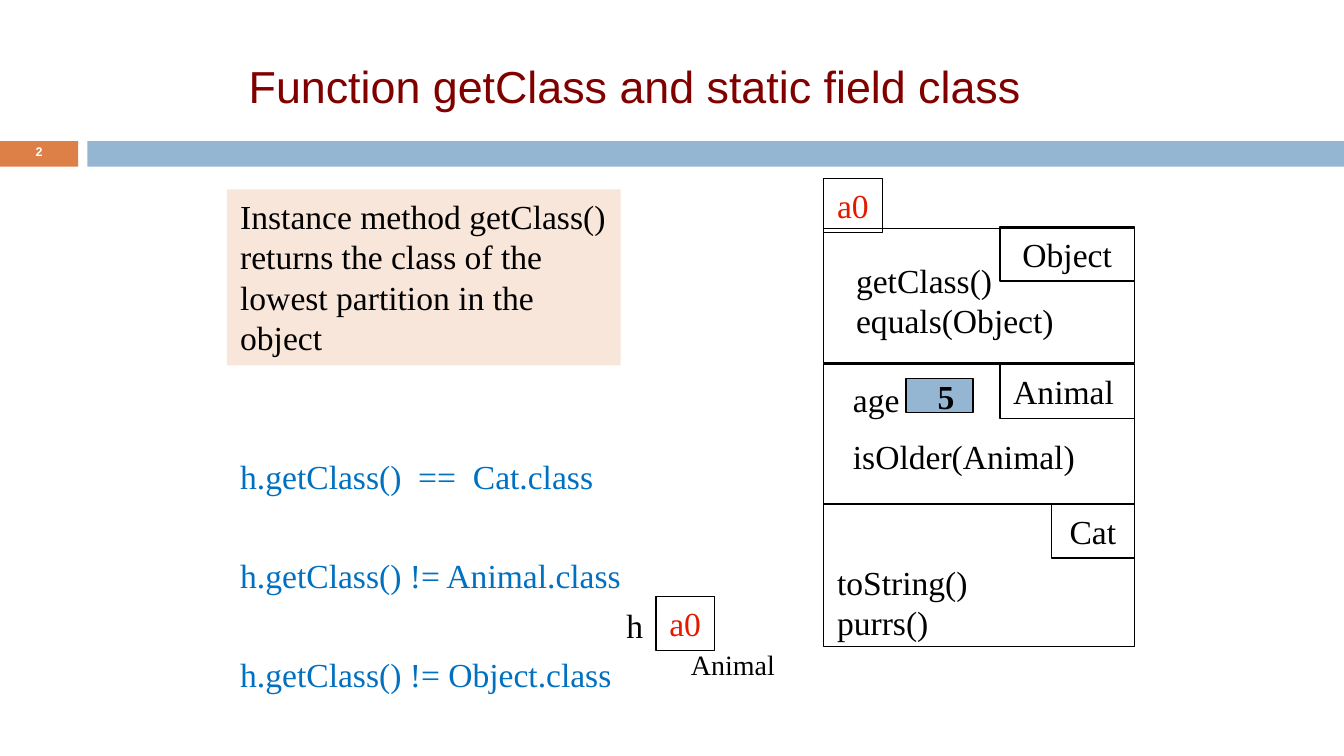
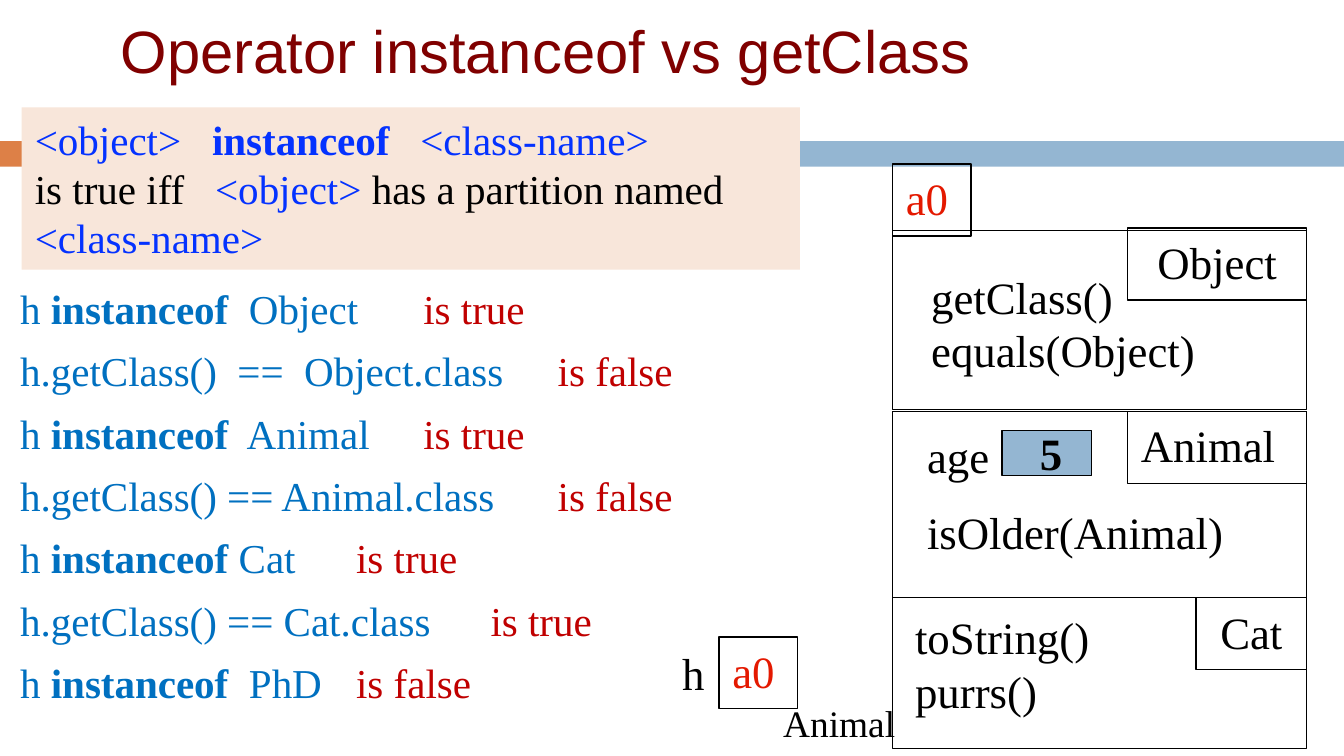
from lxml.etree import SubElement
from pptx import Presentation
from pptx.dml.color import RGBColor
from pptx.enum.shapes import MSO_CONNECTOR, MSO_SHAPE
from pptx.enum.text import MSO_ANCHOR, MSO_AUTO_SIZE, PP_ALIGN
from pptx.oxml.ns import qn
from pptx.util import Cm, Pt

COLORS = {
    "orange": "DD8047", "band": "94B6D2", "peach": "F8E6DA",
    "title": "800000", "code": "0070C0", "answer": "C00000",
    "syntax": "0432FF", "name": "E41900", "black": "000000", "white": "FFFFFF",
}
SERIF, SANS = "Times New Roman", "Arial"


def color(name):
    return RGBColor.from_string(COLORS[name])


def apply(target, values):
    for name, value in values.items():
        setattr(target, name, value)


def place(shape, area):
    apply(shape, dict(zip(("left", "top", "width", "height"), map(Cm, area))))


# Text: a paragraph is a list of (text, colour, bold) spans
def write(frame, paragraphs, size, font=SERIF, **format_values):
    for index, spans in enumerate(paragraphs):
        para = frame.paragraphs[0] if index == 0 else frame.add_paragraph()
        apply(para, {"alignment": PP_ALIGN.LEFT, **format_values})
        for text, shade, bold in spans:
            for number, line in enumerate(text.split("\n")):
                if number:
                    para.add_line_break()
                if not line:
                    continue
                span = para.add_run()
                span.text = line
                apply(span.font, {"name": font, "size": Pt(size), "bold": bold})
                span.font.color.rgb = color(shade)


def plain(*texts, shade="black", bold=False):
    return [[(text, shade, bold)] for text in texts]


def set_frame(frame, margin, **values):
    sides = ("margin_left", "margin_right", "margin_top", "margin_bottom")
    apply(frame, {side: Cm(margin) for side in sides})
    apply(frame, {"word_wrap": True, "auto_size": MSO_AUTO_SIZE.NONE, **values})


def add_text(page, area, paragraphs, size, **format_values):
    box = page.shapes.add_textbox(*map(Cm, area))
    apply(box.text_frame, {"word_wrap": True,
                           "auto_size": MSO_AUTO_SIZE.SHAPE_TO_FIT_TEXT})
    write(box.text_frame, paragraphs, size, **format_values)
    return box


def add_box(page, area, fill=None, outline="black"):
    box = page.shapes.add_shape(MSO_SHAPE.RECTANGLE, *map(Cm, area))
    box.shadow.inherit = False
    if fill:
        box.fill.solid()
        box.fill.fore_color.rgb = color(fill)
    else:
        box.fill.background()
    if outline:
        box.line.color.rgb = color(outline)
        box.line.width = Pt(0.75)
    else:
        box.line.fill.background()
    return box


def add_label(page, area, paragraphs, size, fill=None, outline="black", **format_values):
    box = add_box(page, area, fill, outline)
    apply(box.text_frame, {"word_wrap": True, "vertical_anchor": MSO_ANCHOR.TOP,
                           "auto_size": MSO_AUTO_SIZE.SHAPE_TO_FIT_TEXT})
    write(box.text_frame, paragraphs, size, **format_values)


def add_rule(page, start, end):
    rule = page.shapes.add_connector(MSO_CONNECTOR.STRAIGHT, *map(Cm, start + end))
    rule.line.color.rgb = color("black")
    rule.line.width = Pt(0.75)
    SubElement(rule.element.spPr, qn("a:effectLst"))


# Placeholders
def set_title(page, area, text, size):
    title = page.shapes.title
    place(title, area)
    set_frame(title.text_frame, 0.25, vertical_anchor=MSO_ANCHOR.MIDDLE)
    write(title.text_frame, plain(text, shade="title"), size, SANS)


def set_body(page, area, paragraphs, size, tab=None, **format_values):
    body = page.placeholders[1]
    place(body, area)
    set_frame(body.text_frame, 0.25, vertical_anchor=MSO_ANCHOR.TOP)
    write(body.text_frame, paragraphs, size, **format_values)
    for para in body.text_frame.paragraphs:
        properties = para._p.get_or_add_pPr()
        properties.set("marL", "0")
        properties.set("indent", "0")
        SubElement(properties, qn("a:buNone"))
        if tab:
            stops = SubElement(properties, qn("a:tabLst"))
            SubElement(stops, qn("a:tab"), pos=str(Cm(tab)), algn="l")


# Bands under the title, shared by all pages through the master
def add_master_bands(deck, page):
    bands = (((0, 2.67, 1.48, 0.48), "orange"), ((1.65, 2.67, 23.75, 0.48), "band"))
    tree = deck.slide_master.shapes.element
    for index, (area, fill) in enumerate(bands):
        element = add_box(page, area, fill, None).element
        element.nvSpPr.cNvPr.set("id", str(101 + index))
        tree.insert(2 + index, element)


# Object with its three partitions; offsets are for scale 1
def draw_object(page, origin, scale, lower_height, methods_at):
    def area(left, top, width, height):
        return (origin[0] + left * scale, origin[1] + top * scale,
                width * scale, height * scale)

    size, width = 18 * scale, 5.87
    add_box(page, area(0, 3.51, width, lower_height))
    add_box(page, area(0, 0.94, width, 2.54))
    add_label(page, area(0, 0, 1.11, 1.02), plain("a0", shade="name"), size)
    for text, label_width, top, alignment in (
            ("Object", 2.54, 0.91, PP_ALIGN.CENTER),
            ("Animal", 2.54, 3.51, PP_ALIGN.LEFT),
            ("Cat", 1.57, 6.15, PP_ALIGN.CENTER)):
        add_label(page, area(width - label_width, top, label_width, 1.02),
                  plain(text), size, alignment=alignment)
    add_rule(page, area(0, 6.15, 0, 0)[:2], area(4.6, 6.15, 0, 0)[:2])
    add_text(page, area(*methods_at, 5.72, 1.8), plain("toString()\npurrs()"), size)
    add_text(page, area(0.3, 3.66, 5.56, 2.18), plain("age", "isOlder(Animal)"),
             size, space_before=Pt(size / 2))
    add_box(page, area(1.55, 3.78, 1.27, 0.64), "band")
    add_text(page, area(1.9, 3.61, 0.64, 1.02), plain("5", bold=True), size)
    members = add_text(page, area(0.36, 1.4, 4.29, 1.8),
                       plain("getClass()", "equals(Object)"), size)
    members.text_frame.word_wrap = False


# Variable h with its value and type
def draw_variable(page, origin, scale, type_at):
    def area(left, top, width, height):
        return (origin[0] + left * scale, origin[1] + top * scale,
                width * scale, height * scale)

    add_text(page, area(-0.81, 0.03, 0.79, 1.02), plain("h"), 18 * scale,
             alignment=PP_ALIGN.RIGHT)
    add_label(page, area(0, 0, 1.11, 1.02), plain("a0", shade="name"), 18 * scale)
    add_text(page, area(*type_at, 2.4, 0.89), plain("Animal"), 15 * scale)


def build_get_class(page):
    set_title(page, (4.45, 0.81, 16.99, 1.6),
              "Function getClass and static field class", 24)
    number = page.shapes.add_textbox(*map(Cm, (0, 2.64, 1.48, 0.51)))
    set_frame(number.text_frame, 0.13, vertical_anchor=MSO_ANCHOR.MIDDLE)
    write(number.text_frame, plain("2", shade="white", bold=True), 6.7, SANS,
          alignment=PP_ALIGN.CENTER, line_spacing=0.8)
    set_body(page, (4.29, 8.46, 10.95, 5.03),
             plain("h.getClass()  ==  Cat.class", "h.getClass() != Animal.class",
                   "h.getClass() != Object.class", shade="code"),
             18, line_spacing=0.9, space_before=Pt(33.4))
    draw_object(page, (15.57, 3.38), 1, 5.33, (0, 7.11))
    draw_variable(page, (12.4, 11.28), 1, (0.41, 0.84))
    add_label(page, (4.29, 3.58, 7.44, 3.33),
              plain("Instance method getClass() returns the class of the "
                    "lowest partition in the object"), 18, "peach", None)


def build_instanceof(page):
    set_title(page, (2.03, -0.13, 22.66, 2.13), "Operator instanceof vs getClass", 32)
    # Each test with its result at the tab stop
    tests = (("  Object", "true"), ("h.getClass()  ==  Object.class", "false"),
             ("  Animal", "true"), ("h.getClass() == Animal.class", "false"),
             (" Cat", "true"), ("h.getClass() == Cat.class", "true"),
             ("  PhD", "false"))
    paragraphs = []
    for test, result in tests:
        spans = [(test + "\t", "code", False), ("is " + result, "answer", False)]
        if test.startswith(" "):
            spans = [("h ", "code", False), ("instanceof", "code", True)] + spans
        paragraphs.append(spans)
    set_body(page, (0.13, 5.11, 15.32, 8.48), paragraphs, 22, tab=9.5,
             line_spacing=1.0, space_before=Pt(7))
    draw_object(page, (16.87, 3.1), 4 / 3, 4.78, (0.13, 6.23))
    draw_variable(page, (13.59, 12.04), 4 / 3, (0.72, 0.8))
    rule = [("<object>   ", "syntax", False), ("instanceof   ", "syntax", True),
            ("<class-name>\n", "syntax", False), ("is true iff   ", "black", False),
            ("<object> ", "syntax", False), ("has a partition named ", "black", False),
            ("<class-name>", "syntax", False)]
    add_label(page, (0.41, 2.03, 14.71, 3.07), [rule], 22, "peach", None)


def main():
    deck = Presentation()
    apply(deck, {"slide_width": Cm(25.4), "slide_height": Cm(14.29)})
    layout = deck.slide_layouts[1]
    for index, build in enumerate((build_get_class, build_instanceof)):
        page = deck.slides.add_slide(layout)
        if index == 0:
            add_master_bands(deck, page)
        build(page)
    deck.save("out.pptx")


main()
